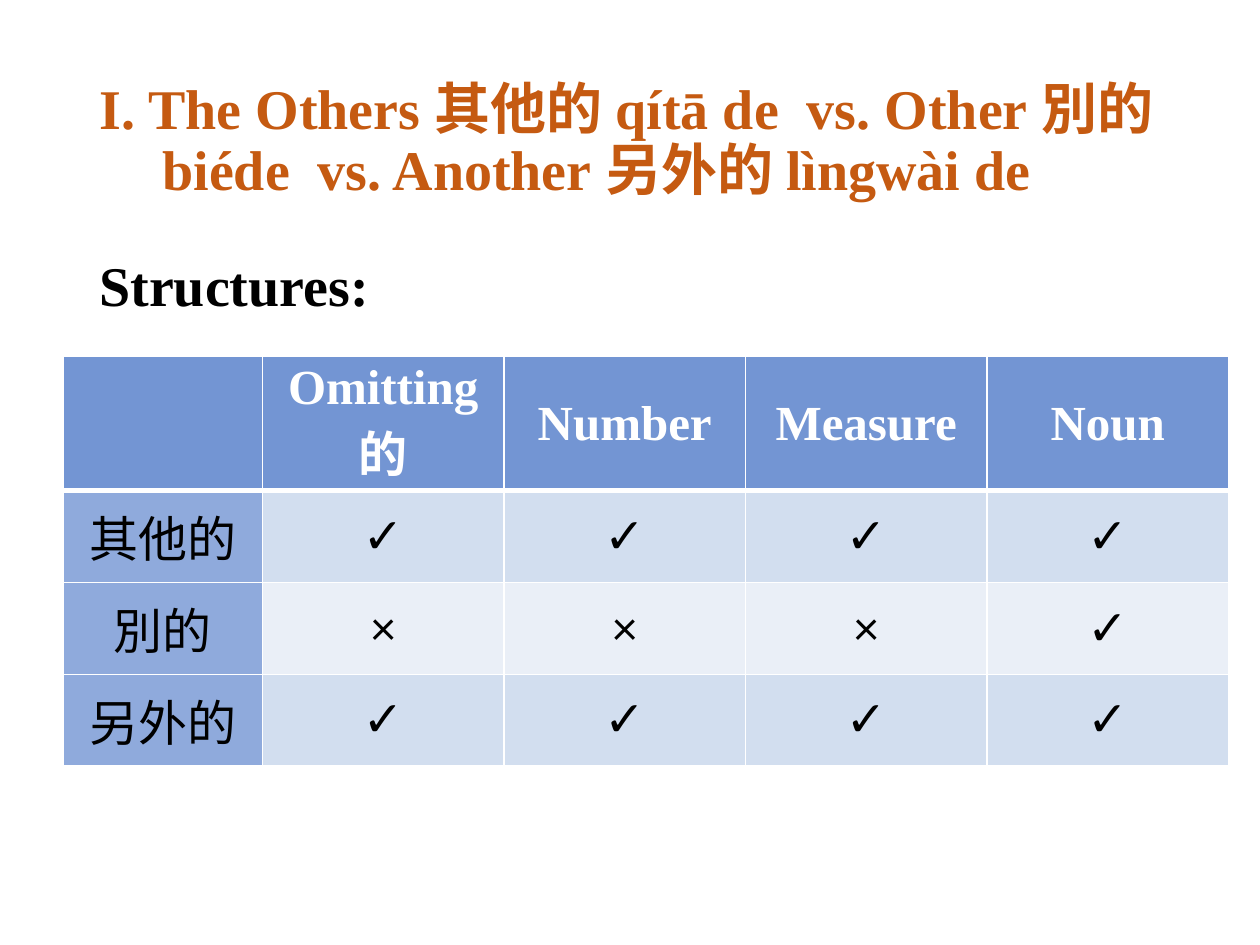
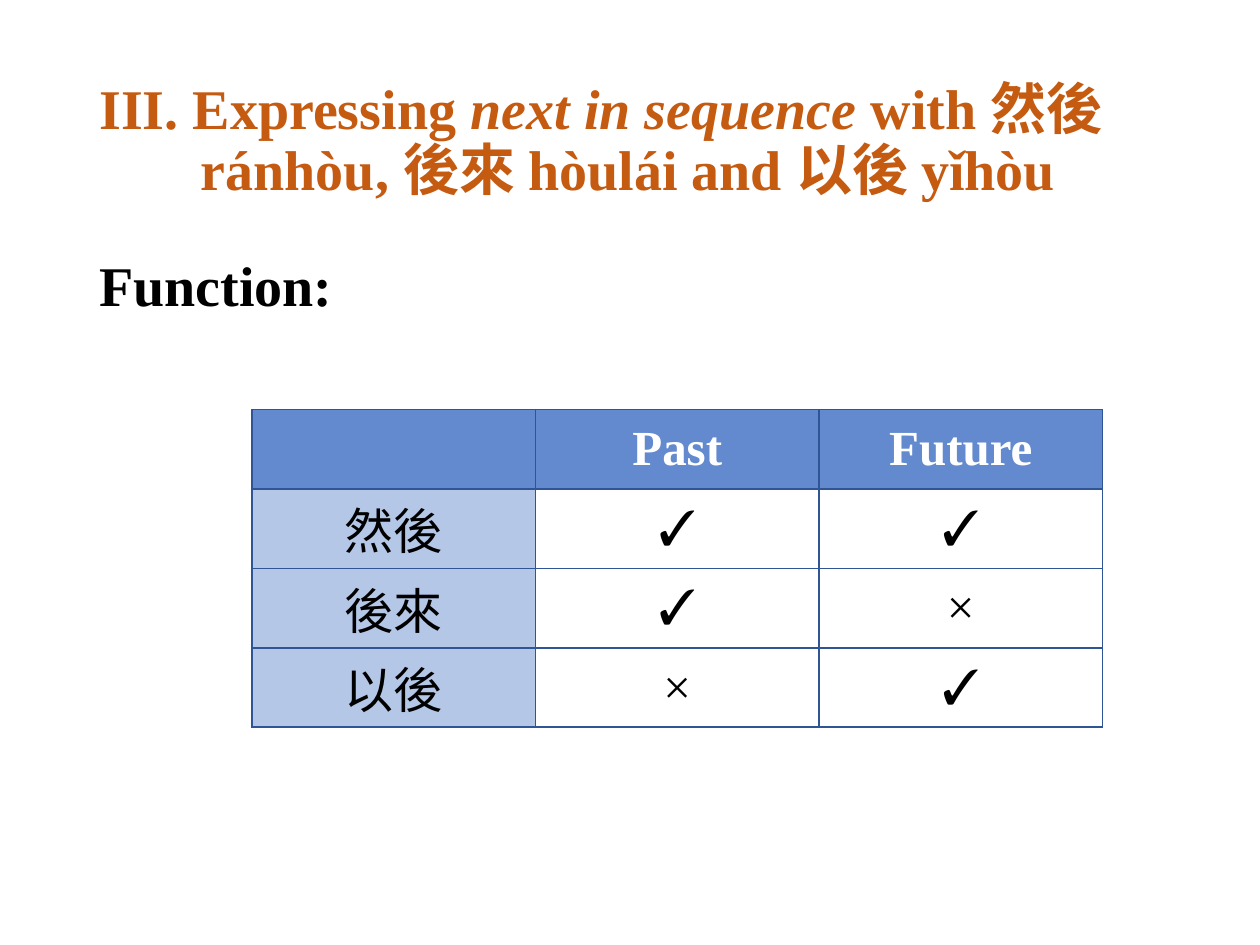
from dataclasses import dataclass

from lxml import etree
from pptx import Presentation
from pptx.dml.color import RGBColor
from pptx.enum import text as t
from pptx.oxml import ns
from pptx.util import Pt


@dataclass(frozen=True)
class Theme:
    title: str = "C55A11"
    ink: str = "000000"
    white: str = "FFFFFF"
    serif: str = "Times New Roman"
    sans: str = "Calibri"
    han: str = "Noto Sans CJK SC"
    large: int = 32
    cell: int = 28


@dataclass(frozen=True)
class Look:
    """Colours, fonts and header rule of one table."""
    head: str
    side: str
    bands: tuple
    line: str
    rule: float
    words: str
    marks: str


T = Theme()
LEFT, WIDTH = 49.7, 620.6
YES, NO = "✓", "×"
BANDED = Look("7395D3", "8FAADC", ("D2DEEF", "EAEFF7"), T.white, 3, T.han, T.sans)
RULED = Look("638ACF", "B4C7E7", (T.white,), "2F5597", 1, T.serif, T.serif)


def style(para, size, color, face=T.serif, bold=True):
    font = para.font
    font.size, font.bold, font.name = Pt(size), bold, face
    font.color.rgb = RGBColor.from_string(color)
    props = para._p.get_or_add_pPr().find(ns.qn("a:defRPr"))
    etree.SubElement(props, ns.qn("a:ea"), typeface=T.han)


def block(slide, top, height, lines, color, indent=0, before=0,
          anchor=t.MSO_ANCHOR.TOP):
    """Large text; each line is a list of (words, italic), later lines indented."""
    box = slide.shapes.add_textbox(Pt(LEFT), Pt(top), Pt(WIDTH), Pt(height))
    frame = box.text_frame
    frame.word_wrap, frame.vertical_anchor = True, anchor
    for i, line in enumerate(lines):
        para = frame.add_paragraph() if i else frame.paragraphs[0]
        para.line_spacing, para.space_before = 0.9, Pt(before)
        if i:
            para._p.get_or_add_pPr().set("marL", str(Pt(indent)))
        style(para, T.large, color)
        for words, italic in line:
            run = para.add_run()
            run.text = words
            if italic:
                run.font.italic = True


def title(slide, lines, indent):
    block(slide, 28.8, 104.4, lines, T.title, indent,
          anchor=t.MSO_ANCHOR.MIDDLE)


def label(slide, words):
    block(slide, 144, 342.7, [[(words, False)]], T.ink, before=7.5)


def edge(cell, side, color, width):
    props = cell._tc.get_or_add_tcPr()
    line = etree.SubElement(props, ns.qn("a:ln" + side), w=str(Pt(width)))
    fill = etree.SubElement(line, ns.qn("a:solidFill"))
    etree.SubElement(fill, ns.qn("a:srgbClr"), val=color)


def fill_cell(cell, words, row, col, look):
    cell.vertical_anchor = t.MSO_ANCHOR.MIDDLE
    cell.margin_left = cell.margin_right = Pt(5)
    cell.margin_top = cell.margin_bottom = 0
    for side in "LRTB":
        heavy = (row, side) in ((0, "B"), (1, "T"))
        edge(cell, side, look.line, look.rule if heavy else 1)
    if row == 0:
        back, color, face = look.head, T.white, T.serif
    elif col == 0:
        back, color, face = look.side, T.ink, look.words
    else:
        back = look.bands[(row - 1) % len(look.bands)]
        color, face = T.ink, look.marks
    cell.fill.solid()
    cell.fill.fore_color.rgb = RGBColor.from_string(back)
    cell.text = words
    para = cell.text_frame.paragraphs[0]
    para.alignment = t.PP_ALIGN.CENTER
    style(para, T.cell, color, face, bold=row == 0)


def grid(slide, left, top, widths, heights, rows, look):
    shape = slide.shapes.add_table(len(rows), len(widths), Pt(left), Pt(top),
                                   Pt(sum(widths)), Pt(sum(heights)))
    table = shape.table
    table.first_row = table.horz_banding = False
    for col, width in zip(table.columns, widths):
        col.width = Pt(width)
    for r, (height, row) in enumerate(zip(heights, rows)):
        table.rows[r].height = Pt(height)
        for c, words in enumerate(row):
            fill_cell(table.cell(r, c), words, r, c, look)


def others(slide):
    title(slide, [
        [("I. The Others 其他的 qítā de  vs. Other 別的", False)],
        [("biéde  vs. Another 另外的 lìngwài de", False)],
    ], 36)
    label(slide, "Structures:")
    grid(slide, 36, 203.8, [114] + [138] * 4, [76.5] + [52.5] * 3, [
        ["", "Omitting的", "Number", "Measure", "Noun"],
        ["其他的", YES, YES, YES, YES],
        ["別的", NO, NO, NO, YES],
        ["另外的", YES, YES, YES, YES],
    ], BANDED)


def sequence(slide):
    title(slide, [
        [("III. Expressing ", False), ("next in sequence", True),
         (" with 然後", False)],
        [("ránhòu, 後來 hòulái and 以後 yǐhòu", False)],
    ], 58)
    label(slide, "Function:")
    grid(slide, 144, 234, [162] * 3, [45.4] * 4, [
        ["", "Past", "Future"],
        ["然後", YES, YES],
        ["後來", YES, NO],
        ["以後", NO, YES],
    ], RULED)


def main():
    deck = Presentation()
    deck.slide_width, deck.slide_height = Pt(720), Pt(540)
    for build in (others, sequence):
        build(deck.slides.add_slide(deck.slide_layouts[6]))
    deck.save("out.pptx")


if __name__ == "__main__":
    main()
